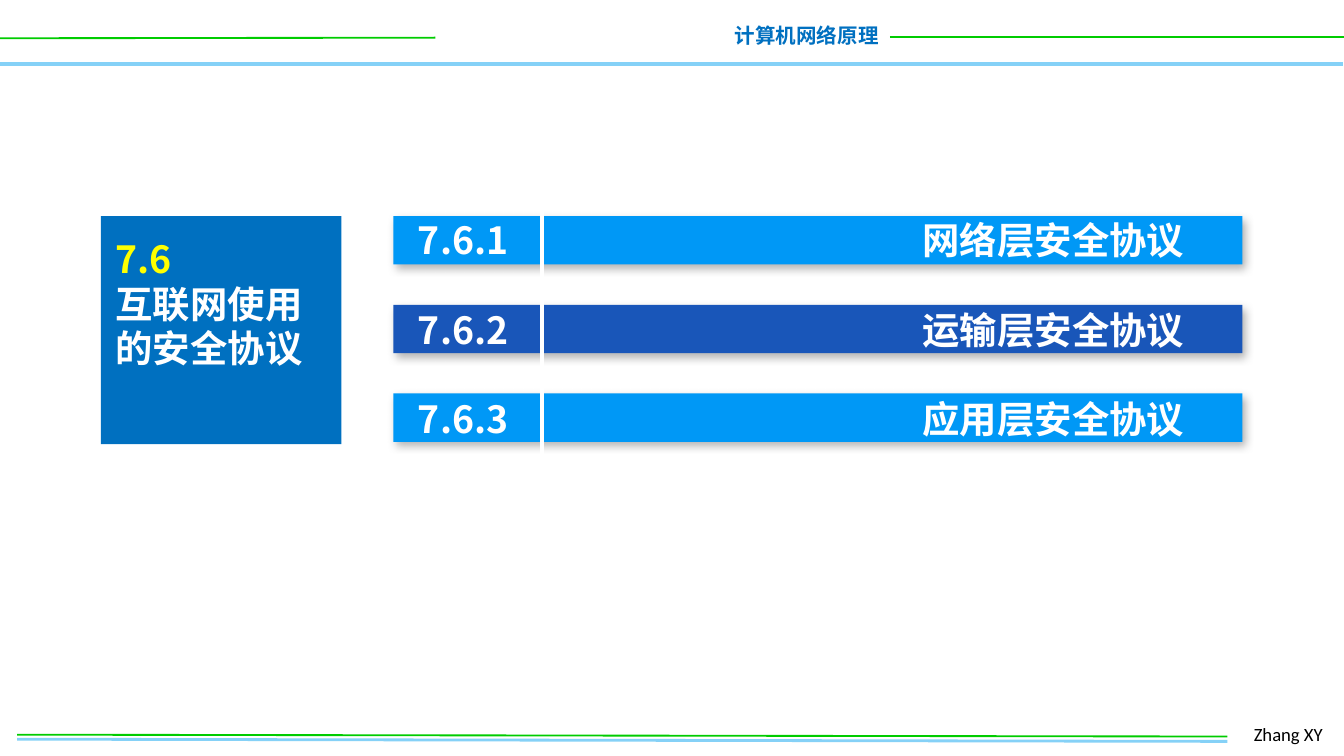
"""Build the section slide on Internet security protocols."""
from dataclasses import dataclass

from lxml.etree import SubElement
from pptx import Presentation
from pptx.dml.color import RGBColor
from pptx.enum.shapes import MSO_CONNECTOR as CONN, MSO_SHAPE as SHAPE
from pptx.enum.text import MSO_ANCHOR as ANCHOR, MSO_AUTO_SIZE as AUTO, PP_ALIGN as ALIGN
from pptx.oxml.ns import qn
from pptx.util import Pt

WHITE = RGBColor(0xFF, 0xFF, 0xFF)
BLACK = RGBColor(0x00, 0x00, 0x00)
YELLOW = RGBColor(0xFF, 0xFF, 0x00)
GREEN = RGBColor(0x00, 0xCC, 0x00)
SKY = RGBColor(0x85, 0xD1, 0xF7)
BLUE = RGBColor(0x00, 0x70, 0xC0)
BRIGHT = RGBColor(0x00, 0x98, 0xF6)
DEEP = RGBColor(0x19, 0x56, 0xB9)
CJK = "Noto Sans CJK SC"
HEADING = {"name": CJK, "size": Pt(20), "bold": True}
LINE_PITCH, ROW_PITCH = 24, 47.5


@dataclass(frozen=True)
class Box:
    left: float
    top: float
    width: float
    height: float

    def lengths(self) -> list:
        return [Pt(v) for v in (self.left, self.top, self.width, self.height)]


@dataclass(frozen=True)
class Rule:
    x1: float
    y1: float
    x2: float
    y2: float
    color: RGBColor
    weight: float


@dataclass(frozen=True)
class Topic:
    number: str
    name: str
    color: RGBColor


RULES = [
    Rule(0, 34.2, 719.3, 34.2, SKY, 2),
    Rule(0, 20.5, 233.3, 20.2, GREEN, 1),
    Rule(476.7, 19.7, 720, 19.7, GREEN, 1),
    Rule(9.2, 396, 657.5, 397.2, SKY, 1.5),
    Rule(9.2, 393.6, 657.5, 394.6, GREEN, 1),
]
TOPICS = [
    Topic("7.6.1", "网络层安全协议", BRIGHT),
    Topic("7.6.2", "运输层安全协议", DEEP),
    Topic("7.6.3", "应用层安全协议", BRIGHT),
]


def draw_rule(s, rule: Rule) -> None:
    c = s.shapes.add_connector(CONN.STRAIGHT, *map(Pt, (rule.x1, rule.y1, rule.x2, rule.y2)))
    c.line.color.rgb = rule.color
    c.line.width = Pt(rule.weight)
    SubElement(c._element.spPr, qn("a:effectLst"))


def draw_block(s, box: Box, color: RGBColor):
    sp = s.shapes.add_shape(SHAPE.RECTANGLE, *box.lengths())
    sp.shadow.inherit = False
    sp.fill.solid()
    sp.fill.fore_color.rgb = color
    sp.line.fill.background()
    return sp


def cast_shadow(sp) -> None:
    effects = sp._element.spPr.find(qn("a:effectLst"))
    shadow = SubElement(effects, qn("a:outerShdw"), blurRad=str(Pt(4.5)), dist=str(Pt(2.6)),
                        dir=str(53 * 60000), algn="tl", rotWithShape="0")
    color = SubElement(shadow, qn("a:srgbClr"), val=str(BLACK))
    SubElement(color, qn("a:alpha"), val="30000")


def add_text(p, text: str, formats: dict, color: RGBColor) -> None:
    r = p.add_run()
    r.text = text
    for key, value in formats.items():
        setattr(r.font, key, value)
    r.font.color.rgb = color
    SubElement(r.font._element, qn("a:ea"), typeface=formats["name"])


def draw_label(s, box: Box, text: str, formats: dict, color: RGBColor, align, wrap: bool) -> None:
    tf = s.shapes.add_textbox(*box.lengths()).text_frame
    tf.word_wrap = wrap
    p = tf.paragraphs[0]
    p.alignment = align
    add_text(p, text, formats, color)


def fill_placeholder(s, sp, box: Box, lines: list, gap: float) -> None:
    for key, value in zip(("left", "top", "width", "height"), box.lengths()):
        setattr(sp, key, value)
    s.shapes._spTree.append(sp._element)
    tf = sp.text_frame
    for key, value in {"auto_size": AUTO.NONE, "word_wrap": True, "vertical_anchor": ANCHOR.TOP}.items():
        setattr(tf, key, value)
    for i, (text, color) in enumerate(lines):
        p = tf.add_paragraph() if i else tf.paragraphs[0]
        formats = {"alignment": ALIGN.LEFT, "line_spacing": Pt(LINE_PITCH),
                   "space_before": Pt(gap if i else 0), "space_after": Pt(0)}
        for key, value in formats.items():
            setattr(p, key, value)
        pPr = p._p.get_or_add_pPr()
        pPr.set("marL", "0")
        pPr.set("indent", "0")
        SubElement(pPr, qn("a:buNone"))
        add_text(p, text, HEADING, color)


def main() -> None:
    prs = Presentation()
    prs.slide_width, prs.slide_height = Pt(720), Pt(405)
    s = prs.slides.add_slide(prs.slide_layouts[3])
    title, numbers, names = s.placeholders

    for rule in RULES:
        draw_rule(s, rule)
    draw_label(s, Box(385.9, 8.6, 92, 21), "计算机网络原理",
               {"name": CJK, "size": Pt(11), "bold": True}, BLUE, ALIGN.RIGHT, False)
    draw_label(s, Box(664.6, 383.8, 53.3, 19.4), "Zhang XY",
               {"name": "Calibri", "size": Pt(10)}, BLACK, ALIGN.LEFT, True)

    for i, topic in enumerate(TOPICS):
        cast_shadow(draw_block(s, Box(210.8, 115.8 + i * ROW_PITCH, 454.8, 25.9), topic.color))
    draw_block(s, Box(54, 115.8, 128.9, 122.2), BLUE)
    draw_rule(s, Rule(290.2, 105.8, 290.2, 249.8, WHITE, 2.25))

    fill_placeholder(s, title, Box(54.7, 122.8, 128.2, 80),
                     [("7.6", YELLOW), ("互联网使用的安全协议", WHITE)], 0)
    fill_placeholder(s, numbers, Box(216.7, 112.7, 72, 128.2),
                     [(t.number, WHITE) for t in TOPICS], LINE_PITCH)
    fill_placeholder(s, names, Box(487, 112.7, 170.3, 128.2),
                     [(t.name, WHITE) for t in TOPICS], LINE_PITCH)
    prs.save("out.pptx")


if __name__ == "__main__":
    main()
